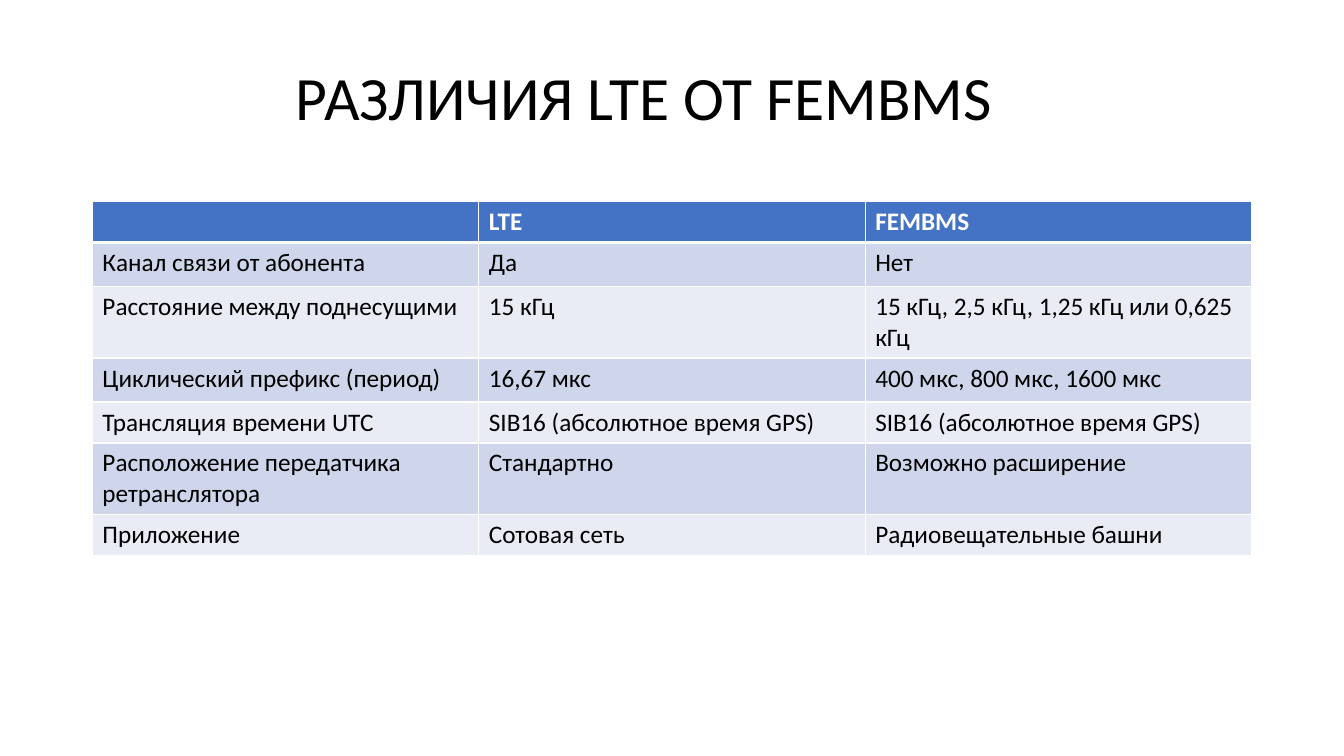
from dataclasses import dataclass

from lxml.etree import SubElement
from pptx import Presentation
from pptx.dml.color import RGBColor
from pptx.enum.text import MSO_ANCHOR, PP_ALIGN
from pptx.oxml.ns import qn
from pptx.util import Inches, Pt


@dataclass(frozen=True)
class Theme:
    font: str = "Calibri"
    title_size: int = 44
    body_size: int = 18
    ink: str = "000000"
    paper: str = "FFFFFF"
    header: str = "4472C4"
    bands: tuple = ("CFD5EA", "E9EBF5")
    thin: int = 1
    thick: int = 3


def apply_format(target, values):
    for name, value in values.items():
        setattr(target, name, value)


class SlideBuilder:
    COLUMNS, ROWS = 160, 90

    def __init__(self, presentation, theme):
        self.theme = theme
        self.column = presentation.slide_width / self.COLUMNS
        self.row = presentation.slide_height / self.ROWS
        self.slide = presentation.slides.add_slide(presentation.slide_layouts[6])

    def place(self, left, top, width, height):
        return (round(left * self.column), round(top * self.row),
                round(width * self.column), round(height * self.row))

    def add_text(self, paragraph, text, size, color, bold=False):
        run = paragraph.add_run()
        run.text = text
        apply_format(run.font, {"name": self.theme.font, "size": Pt(size), "bold": bold})
        run.font.color.rgb = RGBColor.from_string(color)

    def add_title(self, text, *area):
        frame = self.slide.shapes.add_textbox(*self.place(*area)).text_frame
        apply_format(frame, {"word_wrap": True, "vertical_anchor": MSO_ANCHOR.MIDDLE})
        paragraph = frame.paragraphs[0]
        apply_format(paragraph, {"alignment": PP_ALIGN.CENTER, "line_spacing": 0.9})
        self.add_text(paragraph, text, self.theme.title_size, self.theme.ink)

    def add_borders(self, cell, top, bottom):
        properties = cell._tc.get_or_add_tcPr()
        widths = {"lnL": self.theme.thin, "lnR": self.theme.thin, "lnT": top, "lnB": bottom}
        for side, width in widths.items():
            line = SubElement(properties, qn(f"a:{side}"), w=str(Pt(width)))
            fill = SubElement(line, qn("a:solidFill"))
            SubElement(fill, qn("a:srgbClr"), val=self.theme.paper)

    def add_table(self, records, left, top, column_width, row_heights):
        theme = self.theme
        count = len(records[0])
        area = self.place(left, top, column_width * count, sum(row_heights))
        table = self.slide.shapes.add_table(len(records), count, *area).table
        for column in table.columns:
            column.width = round(column_width * self.column)
        for index, (record, height) in enumerate(zip(records, row_heights)):
            table.rows[index].height = round(height * self.row)
            is_header = index == 0
            color = theme.paper if is_header else theme.ink
            fill = theme.header if is_header else theme.bands[(index - 1) % 2]
            upper = theme.thick if index == 1 else theme.thin
            lower = theme.thick if is_header else theme.thin
            for cell, text in zip(table.rows[index].cells, record):
                self.add_borders(cell, upper, lower)
                cell.fill.solid()
                cell.fill.fore_color.rgb = RGBColor.from_string(fill)
                if text:
                    self.add_text(cell.text_frame.paragraphs[0], text, theme.body_size, color, is_header)


def main():
    presentation = Presentation()
    apply_format(presentation, {"slide_width": Inches(13.33), "slide_height": Inches(7.5)})
    builder = SlideBuilder(presentation, Theme())
    builder.add_title("РАЗЛИЧИЯ LTE ОТ FEMBMS", 7.7, 3.25, 138, 17.4)
    differences = [
        ("", "LTE", "FEMBMS"),
        ("Канал связи от абонента", "Да", "Нет"),
        ("Расстояние между поднесущими", "15 кГц", "15 кГц, 2,5 кГц, 1,25 кГц или 0,625 кГц"),
        ("Циклический префикс (период)", "16,67 мкс", "400 мкс, 800 мкс, 1600 мкс"),
        ("Трансляция времени UTC", "SIB16 (абсолютное время GPS)", "SIB16 (абсолютное время GPS)"),
        ("Расположение передатчика ретранслятора", "Стандартно", "Возможно расширение"),
        ("Приложение", "Сотовая сеть", "Радиовещательные башни"),
    ]
    single, roomy, double = 4.87, 5.25, 8.5
    heights = (single, roomy, double, roomy, single, double, single)
    builder.add_table(differences, 11, 24, 46, heights)
    presentation.save("out.pptx")


if __name__ == "__main__":
    main()
